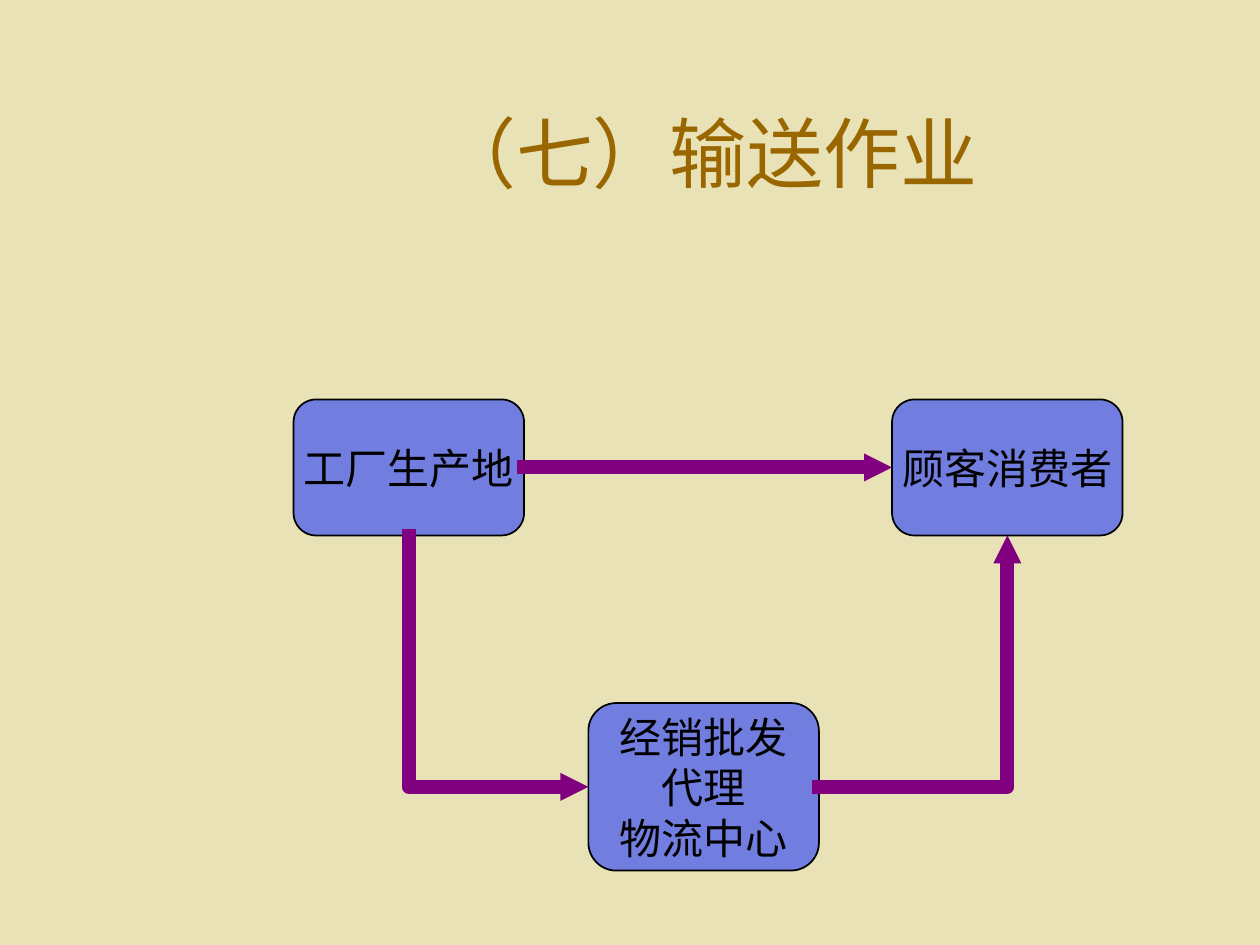
from lxml.etree import SubElement
from pptx import Presentation
from pptx.dml.color import RGBColor
from pptx.enum.shapes import MSO_CONNECTOR as Link, MSO_SHAPE as Preset
from pptx.enum.text import MSO_ANCHOR as Anchor, PP_ALIGN as Align
from pptx.oxml.ns import qn
from pptx.util import Inches, Pt

COLORS = {
    "background": "E9E2B6",
    "title": "996600",
    "box": "727DE0",
    "text": "000000",
    "arrow": "800080",
}
FONT = "Times New Roman"


def color(name):
    return RGBColor.from_string(COLORS[name])


def format_text(text_frame, size, color_name):
    text_frame.vertical_anchor = Anchor.MIDDLE
    for paragraph in text_frame.paragraphs:
        paragraph.alignment = Align.CENTER
        for run in paragraph.runs:
            run.font.name = FONT
            run.font.size = Pt(size)
            run.font.color.rgb = color(color_name)


def place_title(slide, left, top, width, height):
    title = slide.shapes.title
    title.left, title.top = Inches(left), Inches(top)
    title.width, title.height = Inches(width), Inches(height)
    title.text_frame.text = "（七）输送作业"
    format_text(title.text_frame, 44, "title")


def add_stage(slide, text, left, top, width, height):
    shape = slide.shapes.add_shape(
        Preset.ROUNDED_RECTANGLE,
        Inches(left), Inches(top), Inches(width), Inches(height))
    shape.shadow.inherit = False
    shape.fill.solid()
    shape.fill.fore_color.rgb = color("box")
    shape.line.color.rgb = color("text")
    shape.line.width = Pt(1)
    shape.text_frame.text = text
    shape.text_frame.word_wrap = False
    format_text(shape.text_frame, 24, "text")


def add_arrow(slide, kind, start, end):
    arrow = slide.shapes.add_connector(
        kind, *(Inches(value) for value in (*start, *end)))
    arrow.line.color.rgb = color("arrow")
    arrow.line.width = Pt(8)
    properties = arrow._element.spPr
    line = properties.find(qn("a:ln"))
    line.set("cap", "sq")
    SubElement(line, qn("a:tailEnd"), type="triangle", w="sm", len="sm")
    SubElement(properties, qn("a:effectLst"))
    if kind == Link.ELBOW:
        properties.find(qn("a:prstGeom")).set("prst", "bentConnector2")
    return arrow


def add_across_then_up(slide, start, end):
    add_arrow(slide, Link.ELBOW, start, end)


def add_down_then_across(slide, start, end):
    center_x, center_y = (start[0] + end[0]) / 2, (start[1] + end[1]) / 2
    half_run, half_drop = (end[0] - start[0]) / 2, (end[1] - start[1]) / 2
    arrow = add_arrow(
        slide, Link.ELBOW,
        (center_x + half_drop, center_y - half_run),
        (center_x - half_drop, center_y + half_run))
    arrow._element.spPr.find(qn("a:xfrm")).set("rot", str(270 * 60000))


def place_flow(slide, left, top):
    width, height, center_height = 1.83, 1.08, 1.33
    customer_left, center_left, center_top = left + 4.75, left + 2.34, top + 2.41
    bottom, middle = top + height, top + height / 2
    center_middle = center_top + center_height / 2

    add_stage(slide, "工厂生产地", left, top, width, height)
    add_stage(slide, "顾客消费者", customer_left, top, width, height)
    add_stage(slide, "经销批发\n代理\n物流中心",
              center_left, center_top, width, center_height)

    add_down_then_across(slide, (left + width / 2, bottom),
                         (center_left, center_middle))
    add_across_then_up(slide, (center_left + width, center_middle),
                       (customer_left + width / 2, bottom))
    add_arrow(slide, Link.STRAIGHT, (left + width, middle),
              (customer_left, middle))


def main():
    presentation = Presentation()
    presentation.slide_width = Inches(10)
    presentation.slide_height = Inches(7.5)
    slide = presentation.slides.add_slide(presentation.slide_layouts[5])
    slide.background.fill.solid()
    slide.background.fill.fore_color.rgb = color("background")
    place_title(slide, 1.5, 0.58, 8.25, 1.25)
    place_flow(slide, 2.33, 3.17)
    presentation.save("out.pptx")


if __name__ == "__main__":
    main()
